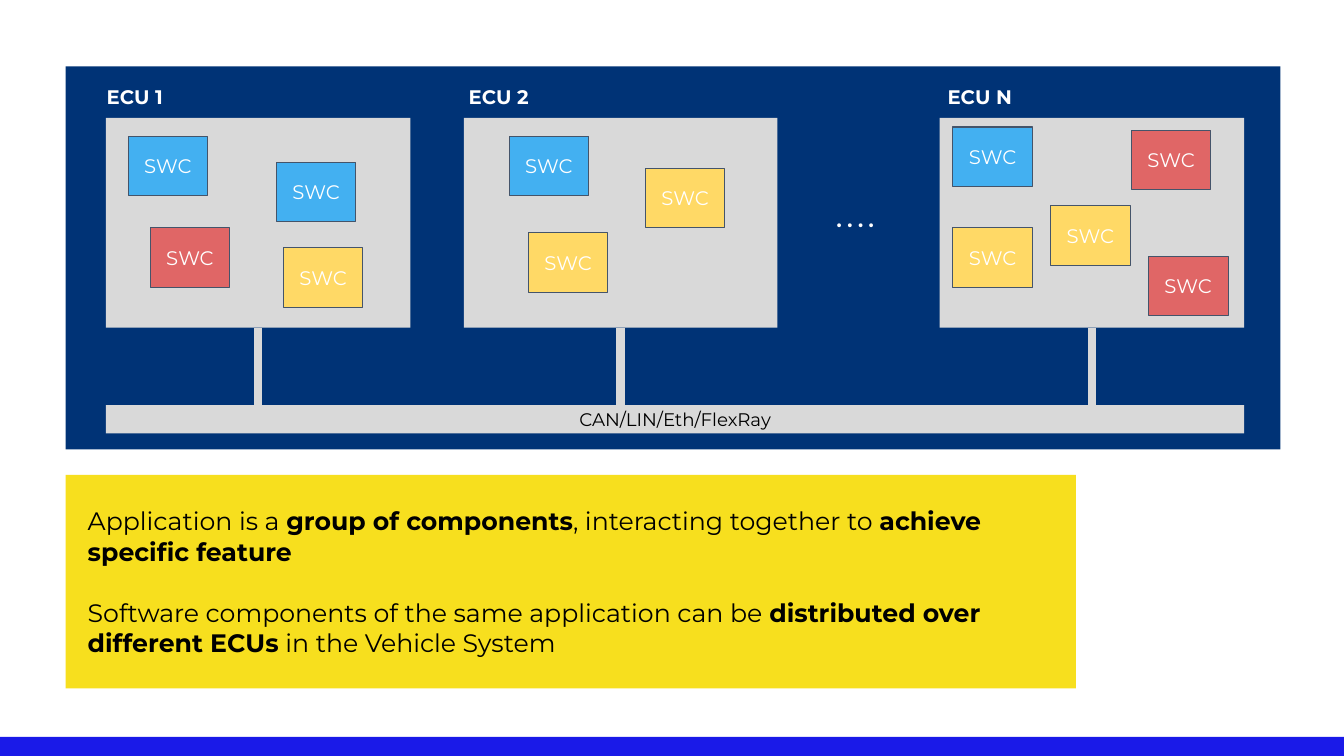
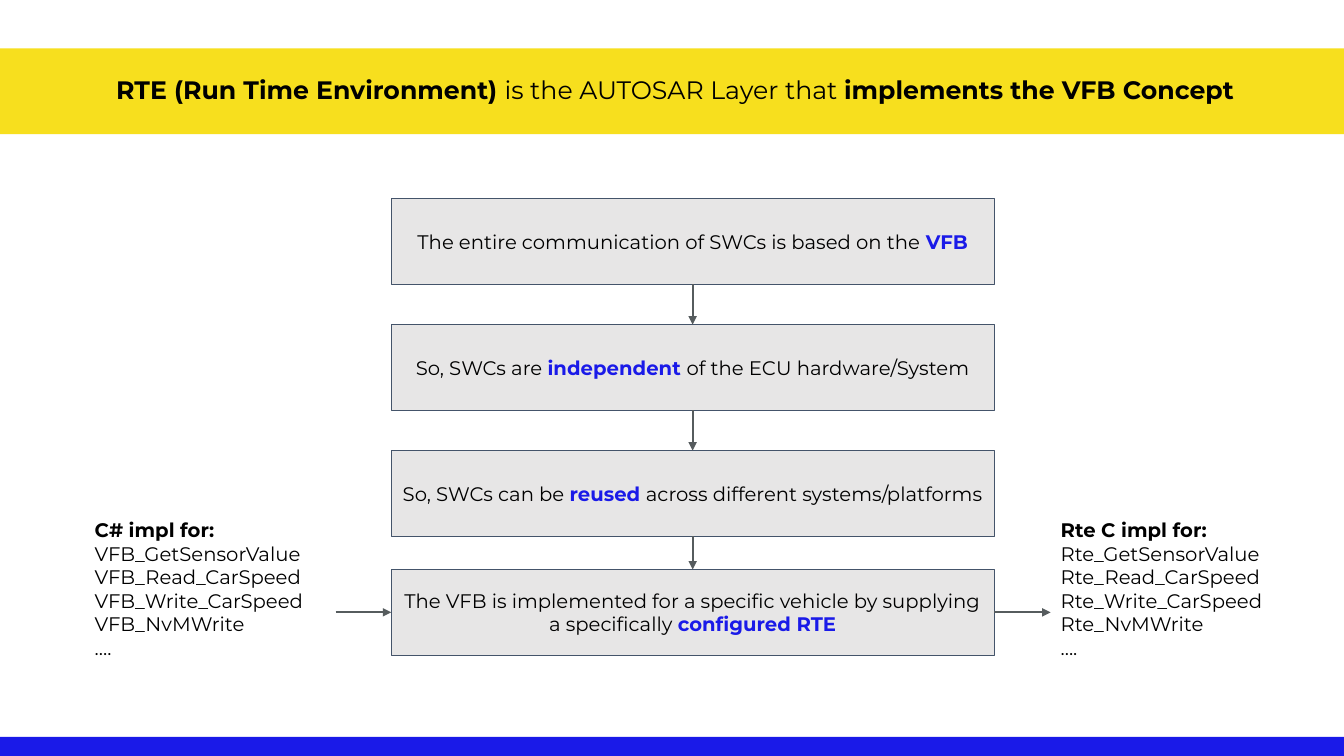
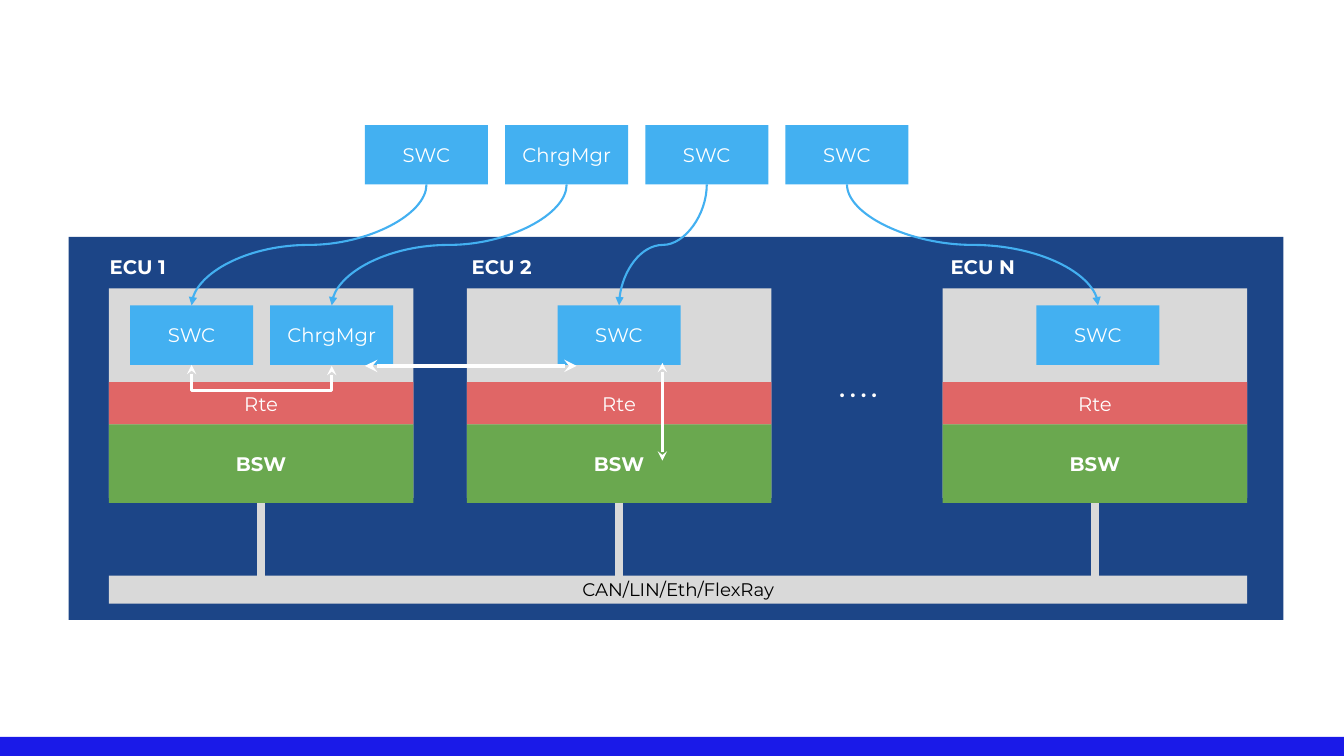
from dataclasses import dataclass

from lxml.etree import SubElement
from pptx import Presentation
from pptx.dml.color import RGBColor
from pptx.enum.shapes import MSO_CONNECTOR, MSO_SHAPE
from pptx.enum.text import MSO_ANCHOR, PP_ALIGN
from pptx.oxml.ns import qn
from pptx.util import Inches, Pt


@dataclass(frozen=True)
class Theme:
    font: str = "Montserrat"
    body: int = 14
    bus: int = 13
    statement: int = 18
    black: str = "000000"
    white: str = "FFFFFF"
    accent: str = "1A1AE8"
    yellow: str = "F7DF1E"
    navy: str = "003376"
    blue_panel: str = "1C4587"
    gray: str = "D9D9D9"
    step: str = "E7E6E6"
    outline: str = "44546A"
    arrow: str = "565C5E"
    sky: str = "43B0F1"
    red: str = "E06666"
    amber: str = "FFD966"
    green: str = "6AA84F"


THEME = Theme()
SLIDE_WIDTH, SLIDE_HEIGHT = 13.33, 7.5
TOP, LEFT, BOTTOM, RIGHT = range(4)

# Text between double asterisks is bold.
STATEMENTS = [
    "Application is a **group of components**, interacting together to **achieve specific feature**",
    "Software components of the same application can be **distributed over different ECUs**"
    " in the Vehicle System",
]
RTE_TITLE = ("**RTE (Run Time Environment) **is the AUTOSAR Layer that "
             "**implements the VFB Concept**")
STEPS = [
    (1.97, "The entire communication of SWCs is based on the **VFB**"),
    (3.22, "So, SWCs are **independent **of the ECU hardware/System"),
    (4.47, "So, SWCs can be **reused **across different systems/platforms"),
    (5.65, "The VFB is implemented for a specific vehicle by supplying a specifically "
           "**configured RTE**"),
]
FUNCTIONS = ["GetSensorValue", "Read_CarSpeed", "Write_CarSpeed", "NvMWrite"]

# Name, left edge in the panel, shift of the label
ECUS = [("ECU 1", 0.4, -0.09), ("ECU 2", 3.95, -0.05), ("ECU N", 8.67, -0.02)]
ECU_WIDTH, ECU_HEIGHT = 3.02, 2.08

# Components of each ECU: colour, then left and top inside the ECU
SCATTERED = [
    [(THEME.sky, 0.22, 0.18), (THEME.sky, 1.69, 0.44),
     (THEME.red, 0.44, 1.09), (THEME.amber, 1.76, 1.29)],
    [(THEME.sky, 0.45, 0.18), (THEME.amber, 1.8, 0.5), (THEME.amber, 0.64, 1.14)],
    [(THEME.sky, 0.13, 0.09), (THEME.red, 1.9, 0.12), (THEME.red, 2.07, 1.37),
     (THEME.amber, 0.13, 1.09), (THEME.amber, 1.1, 0.87)],
]

# Components of each ECU: left of the first one inside the ECU, names
HOSTED = [(0.21, ["SWC", "ChrgMgr"]), (0.9, ["SWC"]), (0.93, ["SWC"])]
COMPONENT_WIDTH, COMPONENT_HEIGHT, COMPONENT_PITCH = 1.22, 0.59, 1.39


def rgb(color):
    return RGBColor.from_string(color)


def write(box, paragraphs, size=THEME.body, color=THEME.white, bold_color=None,
          bold=False, align=PP_ALIGN.CENTER, anchor=MSO_ANCHOR.MIDDLE, inset=0.1):
    frame = box.text_frame
    frame.word_wrap = True
    frame.vertical_anchor = anchor
    frame.margin_left = Inches(inset)
    frame.margin_right = frame.margin_top = frame.margin_bottom = Inches(0.1)
    for index, text in enumerate(paragraphs):
        para = frame.add_paragraph() if index else frame.paragraphs[0]
        para.alignment = align
        for part, words in enumerate(text.split("**")):
            if not words:
                continue
            strong = part % 2 == 1
            span = para.add_run()
            span.text = words
            span.font.name = THEME.font
            span.font.size = Pt(size)
            span.font.bold = bold or strong
            span.font.color.rgb = rgb(bold_color if strong and bold_color else color)


def add_box(page, left, top, width, height, fill, text=None, line=None, **style):
    box = page.shapes.add_shape(MSO_SHAPE.RECTANGLE, Inches(left), Inches(top),
                                Inches(width), Inches(height))
    box.shadow.inherit = False
    box.fill.solid()
    box.fill.fore_color.rgb = rgb(fill)
    if line:
        box.line.color.rgb = rgb(line)
        box.line.width = Pt(0.75)
    else:
        box.line.fill.background()
    if text:
        write(box, [text], **style)
    return box


def add_label(page, left, top, width, height, paragraphs, **style):
    label = page.shapes.add_textbox(Inches(left), Inches(top), Inches(width), Inches(height))
    write(label, paragraphs, align=PP_ALIGN.LEFT, anchor=MSO_ANCHOR.TOP, **style)
    return label


def middle(box, side):
    """Return the point at the middle of one side of a box."""
    x = {LEFT: box.left, RIGHT: box.left + box.width}.get(side, box.left + box.width // 2)
    y = {TOP: box.top, BOTTOM: box.top + box.height}.get(side, box.top + box.height // 2)
    return x, y


def style_line(line, color, width, head=None, tail=None):
    line.line.color.rgb = rgb(color)
    line.line.width = Pt(width)
    outline = line.line._get_or_add_ln()
    for tag, kind in (("a:headEnd", head), ("a:tailEnd", tail)):
        if kind:
            SubElement(outline, qn(tag), type=kind)
    SubElement(line._element.spPr, qn("a:effectLst"))


def add_line(page, begin, end, *style, **ends):
    """Draw a straight line; each end is a point or a (box, side) pair to join."""
    joins = [hasattr(place[0], "text_frame") for place in (begin, end)]
    points = [middle(*place) if joined else place
              for place, joined in zip((begin, end), joins)]
    line = page.shapes.add_connector(MSO_CONNECTOR.STRAIGHT, *points[0], *points[1])
    if joins[0]:
        line.begin_connect(*begin)
    if joins[1]:
        line.end_connect(*end)
    style_line(line, *style, **ends)


def add_downward(page, kind, begin, end, bend, *style, **ends):
    """Draw a connector that leaves downwards and turns at a share of its height."""
    across, down = end[0] - begin[0], end[1] - begin[1]
    left = (begin[0] + end[0] - down) // 2
    top = (begin[1] + end[1] - abs(across)) // 2
    start, stop = (left + down, left) if across > 0 else (left, left + down)
    line = page.shapes.add_connector(kind, start, top, stop, top + abs(across))
    line.rotation = 0
    properties = line._element.spPr
    turn = 270 if across > 0 else 90
    properties.find(qn("a:xfrm")).set("rot", str(turn * 60000))
    guides = properties.find(qn("a:prstGeom")).find(qn("a:avLst"))
    SubElement(guides, qn("a:gd"), name="adj1", fmla=f"val {round(bend * 100000)}")
    style_line(line, *style, **ends)


def add_network(page, left, top, fill, widths):
    """Draw the panel of ECUs on one bus; return the left and top of each ECU."""
    add_box(page, left, top, 12.05, 3.8, fill)
    bus = add_box(page, left + 0.4, top + 3.36, 11.29, 0.28, THEME.gray,
                  "CAN/LIN/Eth/FlexRay", size=THEME.bus, color=THEME.black)
    corners = []
    for (name, offset, shift), width in zip(ECUS, widths):
        corner = left + offset, top + 0.51
        ecu = add_box(page, *corner, width, ECU_HEIGHT, THEME.gray)
        add_line(page, (ecu, BOTTOM), (middle(ecu, BOTTOM)[0], bus.top), THEME.gray, 6)
        add_label(page, corner[0] + shift, top + 0.08, 1.1, 0.35, [name], bold=True)
        corners.append(corner)
    add_label(page, left + 7.55, top + 1.3, 0.6, 0.35, [". . . ."], bold=True)
    return corners


def add_component(page, left, top, name):
    return add_box(page, left, top, COMPONENT_WIDTH, COMPONENT_HEIGHT, THEME.sky, name)


def build_application(page):
    corners = add_network(page, 0.65, 0.66, THEME.navy, [ECU_WIDTH, 3.11, ECU_WIDTH])
    for (left, top), components in zip(corners, SCATTERED):
        for color, across, down in components:
            add_box(page, left + across, top + down, 0.79, 0.59, color, "SWC",
                    line=THEME.outline)
    statement = add_box(page, 0.65, 4.71, 10.02, 2.12, THEME.yellow)
    write(statement, STATEMENTS, size=THEME.statement, color=THEME.black,
          align=PP_ALIGN.LEFT, inset=0.22)
    statement.text_frame.paragraphs[1].space_before = Pt(22)


def build_rte(page):
    arrow = (THEME.arrow, 1.5)
    boxes = [add_box(page, 3.88, top, 5.98, 0.85, THEME.step, text, line=THEME.outline,
                     color=THEME.black, bold_color=THEME.accent)
             for top, text in STEPS]
    for upper, lower in zip(boxes, boxes[1:]):
        add_line(page, (upper, BOTTOM), (lower, TOP), *arrow, tail="triangle")
    calls, results = [
        add_label(page, left, 5.04, 2.49, 2.07,
                  [f"**{heading}**"] + [f"{prefix}_{name}" for name in FUNCTIONS] + ["…."],
                  color=THEME.black)
        for left, heading, prefix in ((0.84, "C# impl for:", "VFB"),
                                      (10.42, "Rte C impl for:", "Rte"))
    ]
    # The lists are centred on the last step
    for label in (calls, results):
        label.top = boxes[-1].top + (boxes[-1].height - label.height) // 2
    add_line(page, (calls, RIGHT), (boxes[-1], LEFT), *arrow, tail="triangle")
    add_line(page, (boxes[-1], RIGHT), (results, LEFT), *arrow, tail="triangle")
    title = add_box(page, 0, 0.48, SLIDE_WIDTH, 0.85, THEME.yellow, RTE_TITLE,
                    size=THEME.statement, color=THEME.black, inset=0.16)
    title.text_frame.paragraphs[0].line_spacing = 0.9


def build_deployment(page):
    corners = add_network(page, 0.68, 2.35, THEME.blue_panel, [ECU_WIDTH] * 3)
    hosted = []
    for (left, top), (first, names) in zip(corners, HOSTED):
        for index, name in enumerate(names):
            hosted.append(add_component(page, left + first + index * COMPONENT_PITCH,
                                        top + 0.17, name))
        add_box(page, left, top + 0.93, ECU_WIDTH, 0.42, THEME.red, "Rte")
        add_box(page, left, top + 1.35, ECU_WIDTH, 0.78, THEME.green, "BSW", bold=True)
    for index, target in enumerate(hosted):
        source = add_component(page, 3.62 + index * COMPONENT_PITCH, 1.24,
                               target.text_frame.text)
        add_downward(page, MSO_CONNECTOR.CURVE, middle(source, BOTTOM), middle(target, TOP),
                     0.5, THEME.sky, 1.5, tail="triangle")
    both = {"head": "stealth", "tail": "stealth"}
    begin, (end_x, end_y) = (middle(box, BOTTOM) for box in hosted[:2])
    # A slight drop gives the bend a height to be measured by
    add_downward(page, MSO_CONNECTOR.ELBOW, begin, (end_x, end_y + Inches(0.01)), 26,
                 THEME.white, 2.25, **both)
    add_line(page, (Inches(3.62), Inches(3.63)), (Inches(5.72), Inches(3.63)),
             THEME.white, 3, **both)
    add_line(page, (Inches(6.57), Inches(3.6)), (Inches(6.57), Inches(4.57)),
             THEME.white, 2.25, **both)


def main():
    deck = Presentation()
    deck.slide_width, deck.slide_height = Inches(SLIDE_WIDTH), Inches(SLIDE_HEIGHT)
    blank = deck.slide_layouts[6]
    pages = [deck.slides.add_slide(blank) for _ in range(3)]
    # The bottom band moves to the layout, so that every slide shows it
    band = add_box(pages[0], 0, 7.31, SLIDE_WIDTH, 0.19, THEME.accent)
    blank.shapes._spTree.append(band._element)
    for build, page in zip((build_application, build_rte, build_deployment), pages):
        build(page)
    deck.save("out.pptx")


if __name__ == "__main__":
    main()
